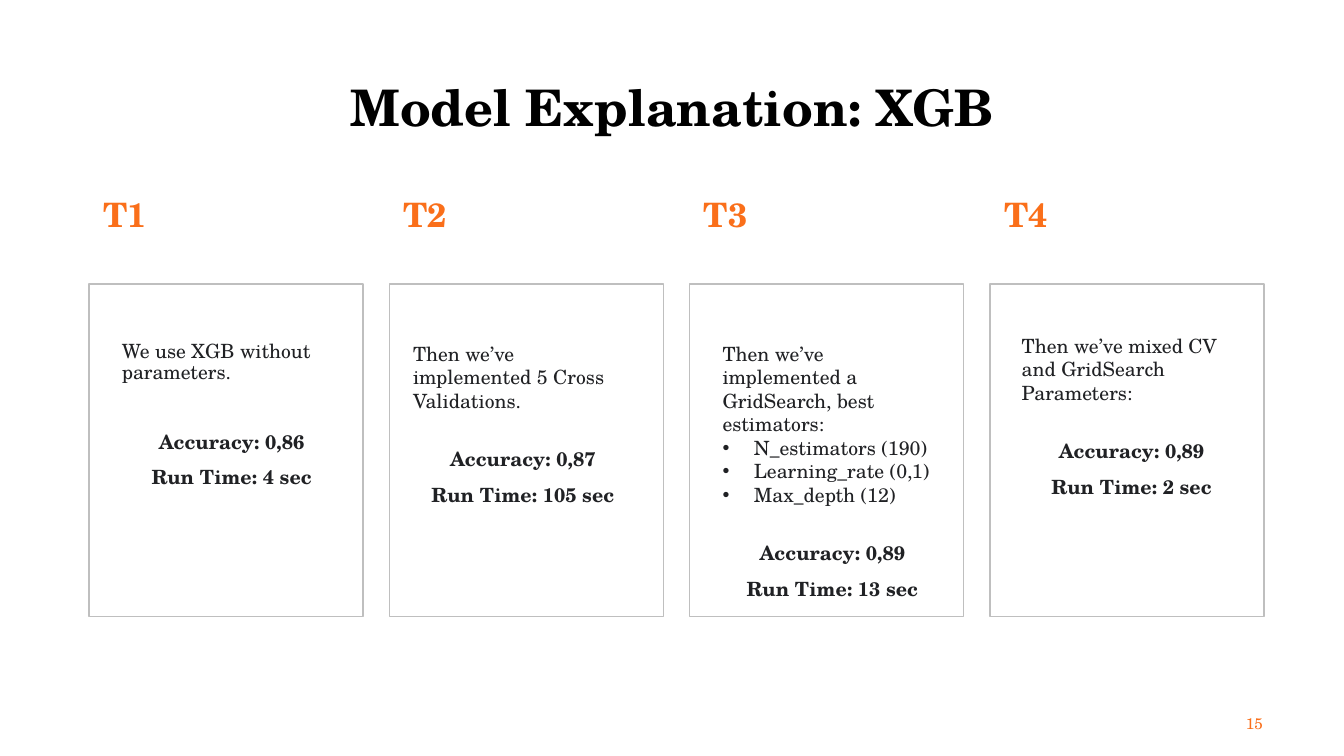
from dataclasses import dataclass

from lxml.etree import SubElement
from pptx import Presentation
from pptx.dml.color import RGBColor
from pptx.enum.shapes import MSO_SHAPE as Shape
from pptx.enum.text import MSO_ANCHOR as Anchor, PP_ALIGN as Align
from pptx.oxml.ns import qn
from pptx.util import Cm, Pt

FONT = "TeX Gyre Schola"
BLACK, ORANGE, INK, BORDER = "000000", "FA6F1A", "202124", "BFBFBF"
CARD_LEFT, CARD_PITCH, CARD_WIDTH = 2.24, 7.57, 6.91
RESULT_GAP = 27


@dataclass
class Trial:
    text_left: float
    text_top: float
    description: str
    accuracy: str
    run_time: str
    estimators: tuple = ()
    line_spacing: float = 1.0
    result_gap: int = RESULT_GAP


TRIALS = [
    Trial(2.82, 8.48, "We use XGB without parameters.", "0,86", "4 sec",
          line_spacing=0.9, result_gap=35),
    Trial(10.16, 8.48, "Then we’ve implemented 5 Cross Validations.",
          "0,87", "105 sec"),
    Trial(17.96, 8.48, "Then we’ve implemented a GridSearch, best estimators:",
          "0,89", "13 sec",
          ("N_estimators (190)", "Learning_rate (0,1)", "Max_depth (12)")),
    Trial(25.5, 8.28, "Then we’ve mixed CV and GridSearch Parameters:",
          "0,89", "2 sec"),
]


def color(hex_value):
    return RGBColor.from_string(hex_value)


class SlideBuilder:
    def __init__(self, slide):
        self.slide = slide

    def frame(self, left, top, width, height, anchor=Anchor.MIDDLE):
        box = self.slide.shapes.add_textbox(Cm(left), Cm(top), Cm(width), Cm(height))
        text_frame = box.text_frame
        text_frame.word_wrap = True
        text_frame.vertical_anchor = anchor
        return text_frame

    def style(self, paragraph, text, size=14, fill=INK, bold=False,
              align=Align.LEFT, spacing=1.0, before=0):
        paragraph.text = text
        paragraph.alignment = align
        paragraph.line_spacing = spacing
        paragraph.space_before = Pt(before)
        for run in paragraph.runs:
            run.font.name = FONT
            run.font.size = Pt(size)
            run.font.bold = bold
            run.font.color.rgb = color(fill)

    def line(self, left, top, width, height, text, **style):
        """Add a text box with a single paragraph."""
        text_frame = self.frame(left, top, width, height)
        self.style(text_frame.paragraphs[0], text, **style)

    def bullet(self, paragraph):
        properties = paragraph._p.get_or_add_pPr()
        properties.set("marL", str(Cm(0.79)))
        properties.set("indent", str(-Cm(0.79)))
        SubElement(properties, qn("a:buFont"), typeface="Arial")
        SubElement(properties, qn("a:buChar"), char="•")

    def card(self, left):
        shape = self.slide.shapes.add_shape(
            Shape.RECTANGLE, Cm(left), Cm(7.16), Cm(CARD_WIDTH), Cm(8.38))
        shape.shadow.inherit = False
        shape.fill.background()
        shape.line.color.rgb = color(BORDER)
        shape.line.width = Pt(1)

    def trial_text(self, trial):
        text_frame = self.frame(trial.text_left, trial.text_top, 5.79, 6.15, Anchor.TOP)
        text_frame.margin_right = 0
        self.style(text_frame.paragraphs[0], trial.description,
                   spacing=trial.line_spacing)
        for estimator in trial.estimators:
            paragraph = text_frame.add_paragraph()
            self.style(paragraph, estimator)
            self.bullet(paragraph)
        results = [(f"Accuracy: {trial.accuracy}", trial.result_gap),
                   (f"Run Time: {trial.run_time}", 10)]
        for result, gap in results:
            self.style(text_frame.add_paragraph(), result, bold=True,
                       align=Align.CENTER, spacing=0.9, before=gap)


def main():
    presentation = Presentation()
    presentation.slide_width, presentation.slide_height = Cm(33.87), Cm(19.05)
    slide = presentation.slides.add_slide(presentation.slide_layouts[6])
    builder = SlideBuilder(slide)

    builder.line(24.46, 17.73, 7.62, 1.02, "15", size=11, fill=ORANGE, align=Align.RIGHT)
    builder.line(1.19, 1.8, 31.5, 1.96, "Model Explanation: XGB", size=36,
                 fill=BLACK, bold=True, align=Align.CENTER, spacing=0.9)
    for index, trial in enumerate(TRIALS):
        left = CARD_LEFT + index * CARD_PITCH
        builder.line(left + 0.07, 4.75, 1.68, 1.4, f"T{index + 1}", size=24,
                     fill=ORANGE, bold=True, align=Align.CENTER, spacing=0.9)
        builder.card(left)
        builder.trial_text(trial)

    presentation.save("out.pptx")


if __name__ == "__main__":
    main()
